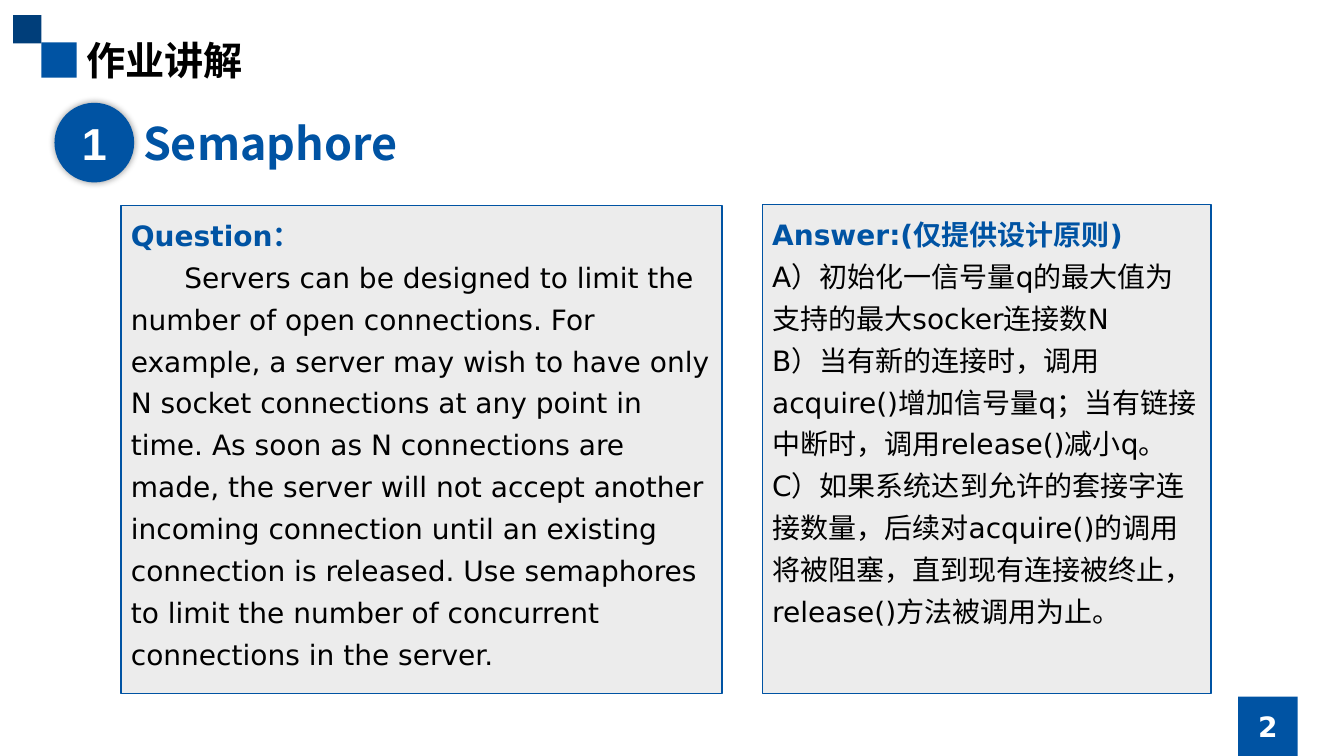
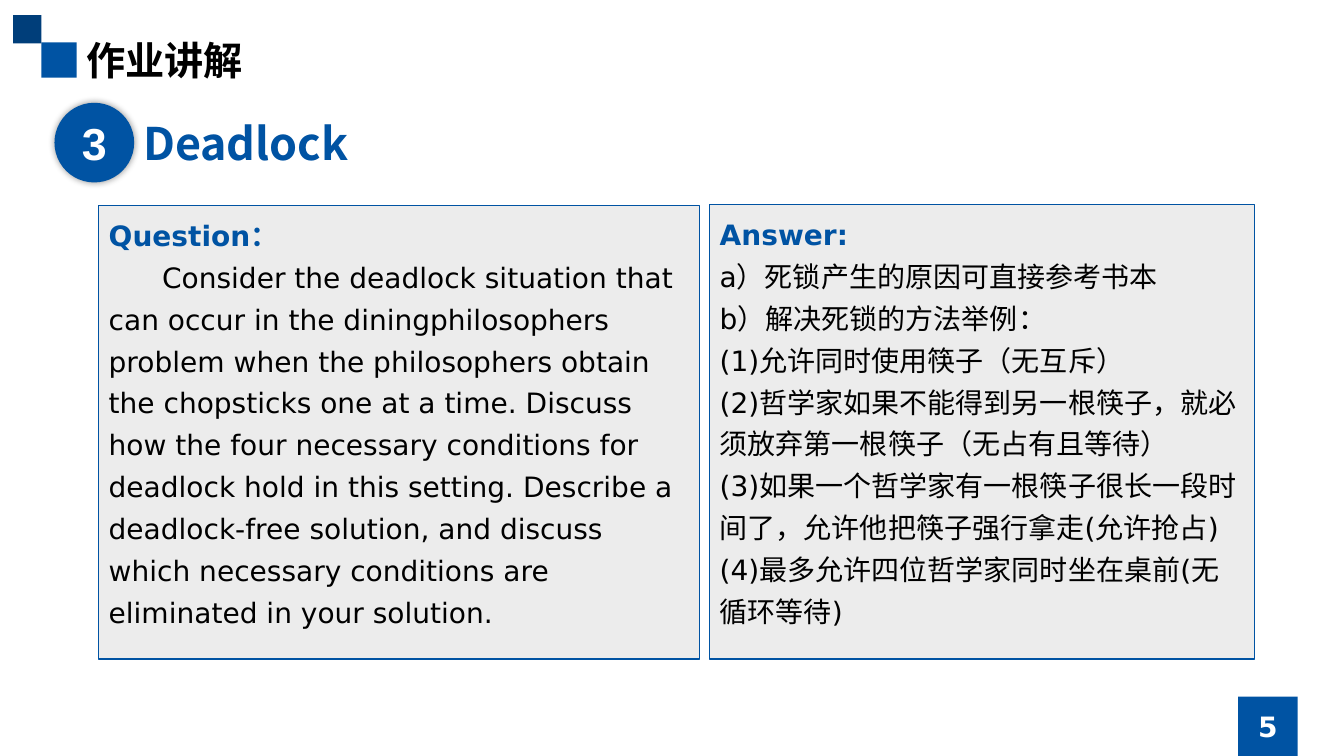
from lxml import etree
from pptx import Presentation
from pptx.dml.color import RGBColor
from pptx.enum.shapes import MSO_SHAPE
from pptx.enum.text import MSO_ANCHOR, PP_ALIGN
from pptx.oxml.ns import qn
from pptx.util import Pt

RECTANGLE, OVAL = MSO_SHAPE.RECTANGLE, MSO_SHAPE.OVAL
TOP, MIDDLE = MSO_ANCHOR.TOP, MSO_ANCHOR.MIDDLE
LEFT, CENTER = PP_ALIGN.LEFT, PP_ALIGN.CENTER

PX = 9144  # EMU in one px, 100 px to the inch
BLUE, NAVY, GREY = "0053A3", "003E7A", "ECECEC"
BLACK, WHITE = "000000", "FFFFFF"
CJK, SANS, NUMERAL = "Noto Sans CJK SC", "DejaVu Sans", "Arial"

# Text styles: font, size, colour, bold
TITLE = (CJK, 28, BLACK, True)
TOPIC = (CJK, 32, BLUE, True)
NUMBER = (NUMERAL, 32, WHITE, True)
PAGE = (SANS, 20, WHITE, True)
HEADING = (SANS, 20, BLUE, True)
BODY = (SANS, 20, BLACK, False)


def color(value):
    return RGBColor.from_string(value)


class Deck:
    def __init__(self):
        self.presentation = Presentation()
        self.presentation.slide_width = 1333 * PX
        self.presentation.slide_height = 750 * PX
        self.slide = None

    def start_slide(self, title, page):
        """Add a slide with the corner squares, title and page badge."""
        layout = self.presentation.slide_layouts[6]
        self.slide = self.presentation.slides.add_slide(layout)
        self.shape(RECTANGLE, (41, 42, 35, 35), BLUE)
        self.shape(RECTANGLE, (13, 15, 28, 28), NAVY)
        badge = self.shape(RECTANGLE, (1228, 691, 59, 59), BLUE)
        self.fill_text(badge, [(page, PAGE)], CENTER, MIDDLE, margins=(0, 0))
        self.label((76, 31, 591, 57), title, TITLE)

    def shape(self, preset, box, fill, line=None):
        shape = self.slide.shapes.add_shape(preset, *(n * PX for n in box))
        shape.shadow.inherit = False
        shape.fill.solid()
        shape.fill.fore_color.rgb = color(fill)
        if line:
            shape.line.color.rgb = color(line)
            shape.line.width = Pt(1)
        else:
            shape.line.fill.background()
        return shape

    def fill_text(self, shape, paragraphs, align=LEFT, anchor=TOP,
                  margins=(10, 5), spacing=1.0):
        """Fill a shape with (text, style) paragraphs."""
        frame = shape.text_frame
        side, edge = (n * PX for n in margins)
        frame_format = {
            "word_wrap": True, "vertical_anchor": anchor,
            "margin_left": side, "margin_right": side,
            "margin_top": edge, "margin_bottom": edge,
        }
        for name, value in frame_format.items():
            setattr(frame, name, value)
        for index, (text, style) in enumerate(paragraphs):
            paragraph = frame.add_paragraph() if index else frame.paragraphs[0]
            paragraph.alignment = align
            paragraph.line_spacing = spacing
            run = paragraph.add_run()
            run.text = text
            font, size, text_color, bold = style
            font_format = {"name": font, "size": Pt(size), "bold": bold}
            for name, value in font_format.items():
                setattr(run.font, name, value)
            run.font.color.rgb = color(text_color)
            # East Asian characters use the same font
            properties = run._r.get_or_add_rPr()
            etree.SubElement(properties, qn("a:ea"), typeface=font)

    def label(self, box, text, style):
        textbox = self.slide.shapes.add_textbox(*(n * PX for n in box))
        self.fill_text(textbox, [(text, style)])

    def topic(self, number, name):
        """Numbered circle with a soft shadow, and the topic beside it."""
        circle = self.shape(OVAL, (54, 102, 79, 79), BLUE)
        effects = circle._element.spPr.find(qn("a:effectLst"))
        shadow = etree.SubElement(effects, qn("a:outerShdw"),
                                  blurRad=str(int(Pt(5))), dist="0", dir="0")
        tint = etree.SubElement(shadow, qn("a:srgbClr"), val=BLACK)
        etree.SubElement(tint, qn("a:alpha"), val="40000")
        self.fill_text(circle, [(number, NUMBER)], CENTER, MIDDLE,
                       margins=(0, 0))
        self.label((132, 110, 591, 64), name, TOPIC)

    def panel(self, box, heading, lines, indent=0):
        """Grey box with a blue heading; indent moves each first line."""
        panel = self.shape(RECTANGLE, box, GREY, BLUE)
        paragraphs = [(heading, HEADING)] + [(line, BODY) for line in lines]
        self.fill_text(panel, paragraphs, margins=(10, 4), spacing=1.25)
        for paragraph in panel.text_frame.paragraphs[1:]:
            properties = paragraph._p.get_or_add_pPr()
            properties.set("indent", str(indent * PX))


SLIDES = [
    {
        "page": "2", "number": "1", "topic": "Semaphore",
        "question_box": (120, 204, 596, 484),
        "question": "Servers can be designed to limit the number of open "
                    "connections. For example, a server may wish to have only "
                    "N socket connections at any point in time. As soon as N "
                    "connections are made, the server will not accept another "
                    "incoming connection until an existing connection is "
                    "released. Use semaphores to limit the number of "
                    "concurrent connections in the server.",
        "answer_box": (756, 203, 445, 485),
        "answer_heading": "Answer:(仅提供设计原则)",
        "answers": [
            "A）初始化一信号量q的最大值为支持的最大socker连接数N",
            "B）当有新的连接时，调用acquire()增加信号量q；"
            "当有链接中断时，调用release()减小q。",
            "C）如果系统达到允许的套接字连接数量，后续对acquire()的调用"
            "将被阻塞，直到现有连接被终止，release()方法被调用为止。",
        ],
    },
    {
        "page": "5", "number": "3", "topic": "Deadlock",
        "question_box": (98, 204, 596, 450),
        "question": "Consider the deadlock situation that can occur in the "
                    "diningphilosophers problem when the philosophers obtain "
                    "the chopsticks one at a time. Discuss how the four "
                    "necessary conditions for deadlock hold in this setting. "
                    "Describe a deadlock-free solution, and discuss which "
                    "necessary conditions are eliminated in your solution.",
        "answer_box": (704, 203, 540, 451),
        "answer_heading": "Answer:",
        "answers": [
            "a）死锁产生的原因可直接参考书本",
            "b）解决死锁的方法举例：",
            "(1)允许同时使用筷子（无互斥）",
            "(2)哲学家如果不能得到另一根筷子，就必须放弃第一根筷子（无占有且等待）",
            "(3)如果一个哲学家有一根筷子很长一段时间了，允许他把筷子强行拿走(允许抢占)",
            "(4)最多允许四位哲学家同时坐在桌前(无循环等待)",
        ],
    },
]


def main():
    deck = Deck()
    for content in SLIDES:
        deck.start_slide("作业讲解", content["page"])
        deck.topic(content["number"], content["topic"])
        deck.panel(content["question_box"], "Question：",
                   [content["question"]], indent=53)
        deck.panel(content["answer_box"], content["answer_heading"],
                   content["answers"])
    deck.presentation.save("out.pptx")


if __name__ == "__main__":
    main()
